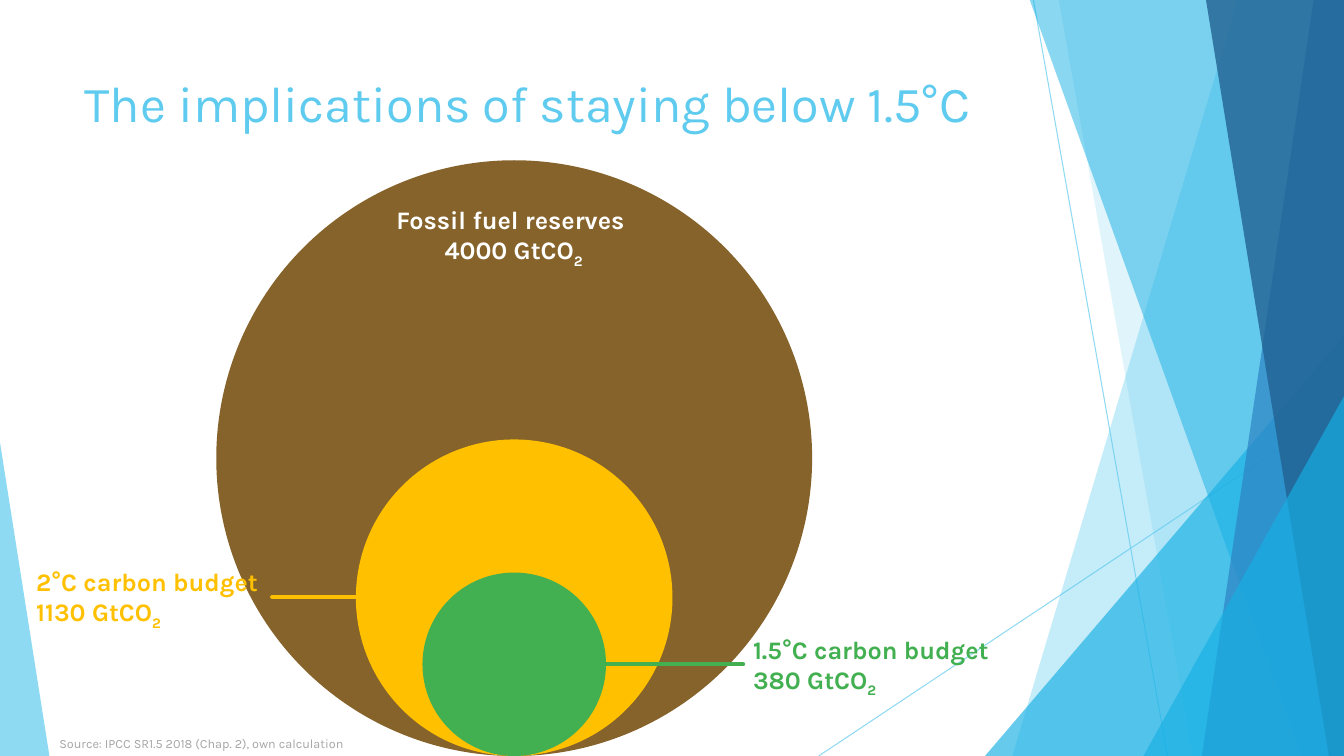
from dataclasses import dataclass

from lxml import etree
from pptx import Presentation
from pptx.dml.color import RGBColor
from pptx.enum.shapes import MSO_CONNECTOR, MSO_SHAPE
from pptx.enum.text import MSO_ANCHOR, MSO_AUTO_SIZE, PP_ALIGN
from pptx.oxml.ns import qn
from pptx.util import Inches, Pt

OVAL = MSO_SHAPE.OVAL
TRIANGLE = MSO_SHAPE.ISOSCELES_TRIANGLE
STRAIGHT = MSO_CONNECTOR.STRAIGHT
TOP = MSO_ANCHOR.TOP
FIXED = MSO_AUTO_SIZE.NONE
LEFT, CENTER = PP_ALIGN.LEFT, PP_ALIGN.CENTER

FONT = "Karla"
SKY, AZURE, BLUE, NAVY = "5FCBEF", "17B0E4", "2E83C3", "226292"
BROWN, GOLD, GREEN, WHITE, GREY = "86632A", "FFC000", "42B051", "FFFFFF", "A6A6A6"
WIDE, HIGH = 13.33, 7.5
AXIS = 5.1  # shared centre line of the circles


@dataclass
class Band:
    top: float
    foot: float
    color: str
    alpha: int


@dataclass
class Wedge:
    left: float
    top: float
    width: float
    apex: int
    color: str
    alpha: int


@dataclass
class Line:
    start: tuple[float, float]
    end: tuple[float, float]
    color: str
    width: float
    alpha: int = 100


@dataclass
class Disc:
    size: float
    color: str


@dataclass
class Label:
    box: tuple[float, float, float, float]
    lines: list[str]
    color: str
    size: int = 18
    bold: bool = True
    align: PP_ALIGN = LEFT
    sub: str = ""


RAYS = [
    Line((10.25, 0), (11.58, HIGH), SKY, 0.75, 70),
    Line((WIDE, 4.03), (8.12, HIGH), SKY, 0.75, 70),
]
# Bands and wedges from back to front
DECOR = [
    Band(12.28, 10.04, SKY, 36),
    Band(10.5, 11.83, SKY, 20),
    Wedge(9.77, 3.33, 3.56, 1, AZURE, 66),
    Band(10.21, 12.91, AZURE, 50),
    Band(13.03, 11.92, BLUE, 70),
    Band(11.96, 13.18, NAVY, 80),
    Wedge(11.34, 3.93, 1.99, 1, AZURE, 66),
    Wedge(0, 4.39, 0.49, 0, SKY, 70),
]
DISCS = [Disc(5.91, BROWN), Disc(3.14, GOLD), Disc(1.82, GREEN)]
LABELS = [
    Label((3.44, 1.98, 3.31, 0.71), ["Fossil fuel reserves ", "4000 GtCO"],
          WHITE, align=CENTER, sub="2"),
    Label((0.26, 5.57, 2.43, 0.71), ["2°C carbon budget", "1130 GtCO"], GOLD, sub="2"),
    Label((7.37, 6.24, 2.68, 0.71), ["1.5°C carbon budget", "380 GtCO"], GREEN, sub="2"),
    Label((0.49, 7.25, 3.43, 0.25),
          ["Source: IPCC SR1.5 2018 (Chap. 2), own calculation"], GREY, 9, False),
]
LEADS = [
    Line((3.52, 5.92), (2.7, 5.92), GOLD, 3),
    Line((6.01, 6.59), (7.37, 6.59), GREEN, 3),
]


def paint(fill, color: str, alpha: int = 100) -> None:
    fill.solid()
    fill.fore_color.rgb = RGBColor.from_string(color)
    if alpha < 100:
        tone = fill._xPr.find(".//" + qn("a:srgbClr"))
        etree.SubElement(tone, qn("a:alpha")).set("val", str(alpha * 1000))


def finish(shape, color: str, alpha: int = 100) -> None:
    shape.shadow.inherit = False
    shape.line.fill.background()
    paint(shape.fill, color, alpha)


def style(font, color: str, size: int, bold: bool = False) -> None:
    font.name, font.size, font.bold = FONT, Pt(size), bold
    paint(font.fill, color)


def draw_line(slide, line: Line) -> None:
    ends = [Inches(v) for v in line.start + line.end]
    stroke = slide.shapes.add_connector(STRAIGHT, *ends)
    stroke.line.width = Pt(line.width)
    paint(stroke.line.fill, line.color, line.alpha)
    if line.width > 1:
        stroke.line._ln.set("cap", "rnd")
    etree.SubElement(stroke._element.spPr, qn("a:effectLst"))


def draw_band(slide, band: Band) -> None:
    spots = [(band.top, -0.01), (WIDE, -0.01), (WIDE, HIGH), (band.foot, HIGH)]
    first, *rest = [(Inches(x), Inches(y)) for x, y in spots]
    pen = slide.shapes.build_freeform(*first)
    pen.add_line_segments(rest, close=True)
    finish(pen.convert_to_shape(), band.color, band.alpha)


def draw_wedge(slide, wedge: Wedge) -> None:
    shape = slide.shapes.add_shape(
        TRIANGLE, Inches(wedge.left), Inches(wedge.top),
        Inches(wedge.width), Inches(HIGH - wedge.top))
    shape.adjustments[0] = wedge.apex
    finish(shape, wedge.color, wedge.alpha)


def draw_disc(slide, disc: Disc) -> None:
    size = Inches(disc.size)
    shape = slide.shapes.add_shape(
        OVAL, Inches(AXIS - disc.size / 2), Inches(HIGH - disc.size), size, size)
    finish(shape, disc.color)


def draw_label(slide, label: Label) -> None:
    frame = slide.shapes.add_textbox(*map(Inches, label.box)).text_frame
    frame.word_wrap = True
    frame.text = "\n".join(label.lines)
    if label.sub:
        run = frame.paragraphs[-1].add_run()
        run.text = label.sub
        run.font._element.set("baseline", "-25000")
    for para in frame.paragraphs:
        para.alignment = label.align
        for run in para.runs:
            style(run.font, label.color, label.size, label.bold)


def draw_title(slide) -> None:
    title = slide.shapes.title
    title.left, title.top = Inches(0.74), Inches(0.67)
    title.width, title.height = Inches(9.4), Inches(1.44)
    frame = title.text_frame
    frame.text = "The implications of staying below 1.5°C"
    frame.vertical_anchor, frame.auto_size = TOP, FIXED
    frame.paragraphs[0].alignment = LEFT
    style(frame.paragraphs[0].runs[0].font, SKY, 36)


def main() -> None:
    deck = Presentation()
    deck.slide_width, deck.slide_height = Inches(WIDE), Inches(HIGH)
    slide = deck.slides.add_slide(deck.slide_layouts[5])

    # Side decoration
    for ray in RAYS:
        draw_line(slide, ray)
    for part in DECOR:
        if isinstance(part, Band):
            draw_band(slide, part)
        else:
            draw_wedge(slide, part)

    # Title, nested circles and their labels
    draw_title(slide)
    for disc in DISCS:
        draw_disc(slide, disc)
    for label in LABELS:
        draw_label(slide, label)
    for lead in LEADS:
        draw_line(slide, lead)

    deck.save("out.pptx")


if __name__ == "__main__":
    main()
